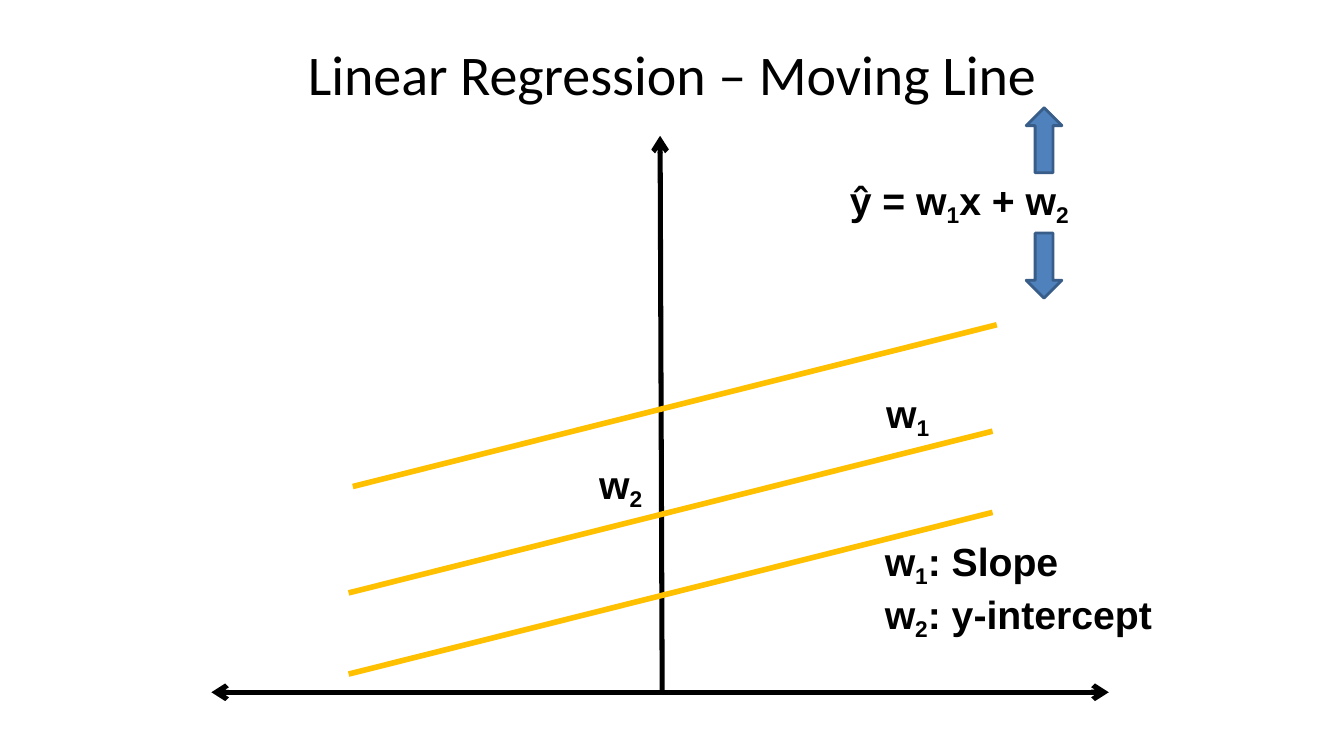
from pptx import Presentation
from pptx.dml.color import RGBColor
from pptx.enum.shapes import MSO_CONNECTOR as Conn, MSO_SHAPE as Shape
from pptx.enum.text import MSO_ANCHOR as Anchor, PP_ALIGN as Align
from pptx.oxml.ns import qn
from pptx.util import Pt
from lxml.etree import SubElement

BLACK = RGBColor(0x00, 0x00, 0x00)
GOLD = RGBColor(0xFF, 0xC0, 0x00)
BLUE = RGBColor(0x4F, 0x81, 0xBC)
NAVY = RGBColor(0x38, 0x5D, 0x89)


class Board:
    """Draws on one slide; all lengths are points."""

    def __init__(self, slide):
        self.shapes = slide.shapes

    def text(self, left, top, width, height, lines, font="Arial", size=28,
             bold=True, align=Align.LEFT):
        """Write lines; the character after each "_" is a subscript."""
        box = self.shapes.add_textbox(Pt(left), Pt(top), Pt(width), Pt(height))
        frame = box.text_frame
        frame.word_wrap = True
        frame.vertical_anchor = Anchor.TOP
        frame.margin_left = frame.margin_right = frame.margin_bottom = 0
        frame.margin_top = Pt(0.9)
        for i, line in enumerate(lines):
            par = frame.paragraphs[0] if i == 0 else frame.add_paragraph()
            par.alignment = align
            par.space_before = Pt(0.7)
            par.font.name = font
            par.font.size = Pt(size)
            par.font.bold = bold
            par.font.color.rgb = BLACK
            first, *rest = line.split("_")
            par.add_run().text = first
            for part in rest:
                sub = par.add_run()
                sub.text = part[0]
                sub._r.get_or_add_rPr().set("baseline", "-21000")
                if part[1:]:
                    par.add_run().text = part[1:]

    def line(self, start, end, color, width, ends=()):
        """Draw a line; ends may hold "headEnd" (start) and "tailEnd" (end)."""
        points = [Pt(v) for v in (*start, *end)]
        link = self.shapes.add_connector(Conn.STRAIGHT, *points)
        link.line.color.rgb = color
        link.line.width = Pt(width)
        stroke = link.line._get_or_add_ln()
        for end in ends:
            SubElement(stroke, qn("a:" + end), type="arrow")
        SubElement(link._element.spPr, qn("a:effectLst"))

    def arrow(self, kind, left, top, width, height):
        block = self.shapes.add_shape(kind, Pt(left), Pt(top), Pt(width), Pt(height))
        block.shadow.inherit = False
        block.fill.solid()
        block.fill.fore_color.rgb = BLUE
        block.line.color.rgb = NAVY
        block.line.width = Pt(2)


def main():
    deck = Presentation()
    deck.slide_width, deck.slide_height = Pt(960), Pt(540)
    board = Board(deck.slides.add_slide(deck.slide_layouts[6]))

    base = 494.5
    board.line((151, base), (792, base), BLACK, 3.6, ("headEnd", "tailEnd"))
    board.line((473, base), (471.5, 97), BLACK, 3.6, ("tailEnd",))

    run, rise = 460, 115.5
    for left, low in ((252, 347.5), (249, 423.5), (249, 481.5)):
        board.line((left, low), (left + run, low - rise), GOLD, 4)

    board.text(218, 27, 524, 49, ["Linear Regression – Moving Line"],
               "Calibri", 40, False, Align.CENTER)
    board.text(607, 125, 170, 35, ["ŷ = w_1x + w_2"])
    board.text(632, 383, 205, 69, ["w_1: Slope", "w_2: y-intercept"])
    board.text(633, 277, 40, 35, ["w_1"])
    board.text(428, 328, 40, 35, ["w_2"])

    for kind, top in ((Shape.UP_ARROW, 77), (Shape.DOWN_ARROW, 166.5)):
        board.arrow(kind, 733, top, 25.5, 46.5)

    deck.save("out.pptx")


if __name__ == "__main__":
    main()
